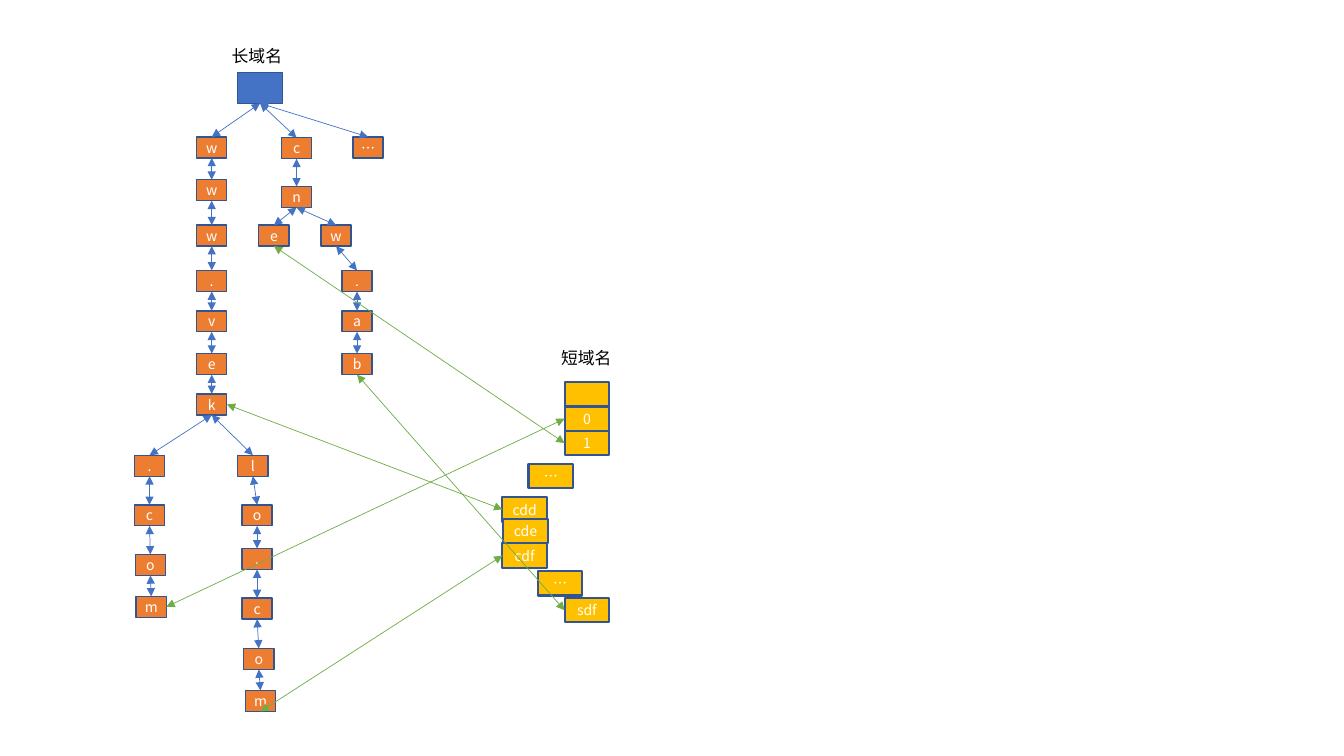
import pptx
import pptx.util
import pptx.dml.color
import pptx.enum.shapes
import pptx.enum.text
import lxml.etree

HUES = {"root": "4472C4", "node": "ED7D31", "short": "FFC000", "edge": "325491",
        "tree": "4472C4", "map": "70AD47", "light": "FFFFFF", "dark": "000000"}
# Width, height and border of each kind of box, in grid cells and points
SIZES = {"root": (5.3, 3.7, 1), "node": (3.6, 2.5, 1), "short": (5.3, 2.9, 1.5)}
FONT = "Noto Sans CJK SC"
TOP, LEFT, BASE, RIGHT = range(4)  # connection sites of a rectangle

deck = pptx.Presentation()
deck.slide_width = pptx.util.Inches(13.33)
deck.slide_height = pptx.util.Inches(7.5)
slide = deck.slides.add_slide(deck.slide_layouts[6])
shapes = slide.shapes
CELL = deck.slide_height / 90  # square grid, 90 rows tall


def add_box(kind, text, col, row):
    """Add a bordered box at a grid cell, with centred text if any."""
    wide, high, edge = SIZES[kind]
    box = shapes.add_shape(pptx.enum.shapes.MSO_SHAPE.RECTANGLE,
                           *[round(n * CELL) for n in (col, row, wide, high)])
    box.shadow.inherit = False
    box.fill.solid()
    box.fill.fore_color.rgb = pptx.dml.color.RGBColor.from_string(HUES[kind])
    box.line.color.rgb = pptx.dml.color.RGBColor.from_string(HUES["edge"])
    box.line.width = pptx.util.Pt(edge)
    if text:
        frame = box.text_frame
        frame.margin_left = frame.margin_right = 0
        frame.margin_top = frame.margin_bottom = 0
        frame.vertical_anchor = pptx.enum.text.MSO_ANCHOR.MIDDLE
        para = frame.paragraphs[0]
        para.text = text
        para.alignment = pptx.enum.text.PP_ALIGN.CENTER
        para.font.name, para.font.size = FONT, pptx.util.Pt(10)
        para.font.color.rgb = pptx.dml.color.RGBColor.from_string(HUES["light"])
    return box


def add_link(kind, start, out, end, into):
    """Join two boxes at the given sites with a double-headed arrow."""
    link = shapes.add_connector(pptx.enum.shapes.MSO_CONNECTOR.STRAIGHT, 0, 0, 0, 0)
    link.begin_connect(start, out)
    link.end_connect(end, into)
    link.line.color.rgb = pptx.dml.color.RGBColor.from_string(HUES[kind])
    link.line.width = pptx.util.Pt(0.5)
    stroke = link.line._get_or_add_ln()
    space = "{" + stroke.nsmap["a"] + "}"
    for tip in ("headEnd", "tailEnd"):
        lxml.etree.SubElement(stroke, space + tip, type="triangle")
    lxml.etree.SubElement(stroke.getparent(), space + "effectLst")


# Each branch: name, parent branch, then letter, column and row of its nodes
branches = [
    ("www.vek", "root", [("w", 23.4, 16.3), ("w", 23.4, 21.4), ("w", 23.4, 26.8),
                         (".", 23.4, 32.2), ("v", 23.4, 37), ("e", 23.4, 42.1),
                         ("k", 23.4, 46.9)]),
    ("cn", "root", [("c", 33.5, 16.4), ("n", 33.5, 22.2)]),
    ("more", "root", [("…", 42, 16.3)]),
    (".com", "www.vek", [(".", 16, 54.2), ("c", 16, 60.1), ("o", 16.1, 66),
                         ("m", 16.2, 71)]),
    ("lo.com", "www.vek", [("l", 28.3, 54.2), ("o", 28.8, 60.1), (".", 28.8, 65.3),
                           ("c", 28.8, 71.2), ("o", 29, 77.2), ("m", 29.2, 82.2)]),
    ("e", "cn", [("e", 30.8, 26.8)]),
    ("w.ab", "cn", [("w", 38.2, 26.8), (".", 40.7, 32.2), ("a", 40.7, 37),
                    ("b", 40.7, 42.1)]),
]
ends = {"root": add_box("root", "", 28.3, 8.6)}
pairs = []
for name, parent, nodes in branches:
    last = ends[parent]
    for text, col, row in nodes:
        node = add_box("node", text, col, row)
        pairs.append((last, node))
        last = node
    ends[name] = last
for upper, lower in pairs:
    add_link("tree", upper, BASE, lower, TOP)

codes = {}
for text, col, row in [("", 67.2, 45.5), ("0", 67.2, 48.4), ("1", 67.2, 51.3),
                       ("cdd", 59.8, 59.2), ("cde", 59.9, 61.8), ("cdf", 59.8, 64.7),
                       ("sdf", 67.2, 71.2), ("…", 62.9, 55.2), ("…", 64, 68)]:
    codes[text] = add_box("short", text, col, row)

for name, site, code in [(".com", RIGHT, "0"), ("www.vek", RIGHT, "cdd"),
                         ("lo.com", BASE, "cdf"), ("e", BASE, "1"),
                         ("w.ab", BASE, "sdf")]:
    add_link("map", ends[name], site, codes[code], LEFT)

for text, col, row in [("长域名", 26.4, 4.9), ("短域名", 65.6, 40.8)]:
    label = shapes.add_textbox(*[round(n * CELL) for n in (col, row, 14.9, 3.6)])
    label.text_frame.word_wrap = True
    para = label.text_frame.paragraphs[0]
    para.text = text
    para.font.name, para.font.size = FONT, pptx.util.Pt(12)
    para.font.color.rgb = pptx.dml.color.RGBColor.from_string(HUES["dark"])

deck.save("out.pptx")
